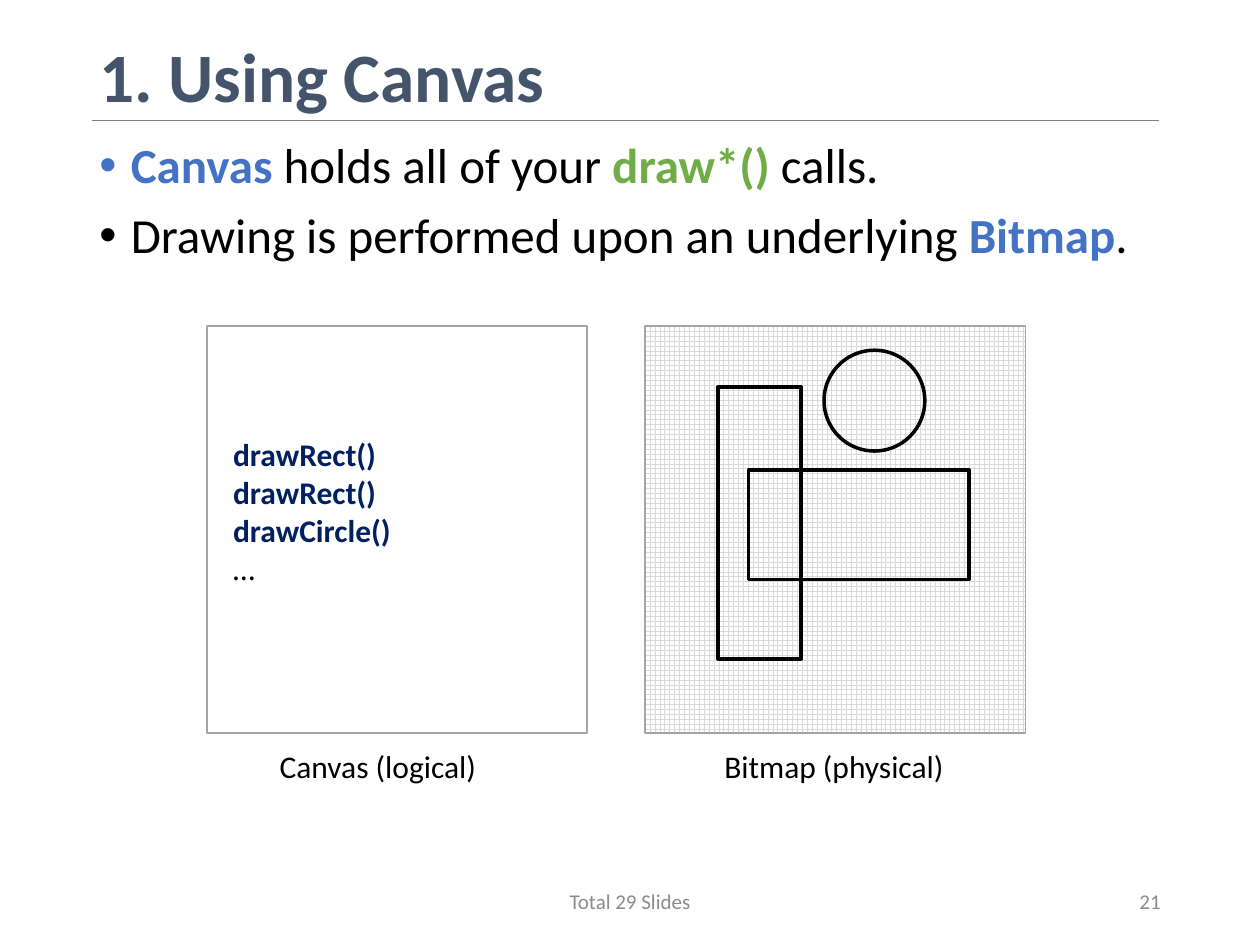
"""Build the slide on how a canvas draws onto a bitmap."""
from lxml import etree
from pptx import Presentation, util as u
from pptx.dml.color import RGBColor
from pptx.enum import dml, shapes, text
from pptx.oxml.ns import qn

HUES = {"head": "44546A", "rule": "808080", "blue": "4472C4", "green": "70AD47",
        "ink": "000000", "edge": "A5A5A5", "grid": "D9D9D9", "page": "FFFFFF",
        "code": "002060", "foot": "8C8C8C"}
FONT = "Calibri"
WIDE, HIGH = 10, 7.5
EDGE, SPAN = 0.69, 8.62
LEFT, TOP, PANE_W, PANE_H, STEP = 1.64, 2.59, 3.02, 3.23, 3.48

TITLE = [[("1. Using Canvas", "head", True)]]
POINTS = [
    [("Canvas", "blue", True), (" holds all of your ", "ink", False),
     ("draw*() ", "green", True), ("calls.", "ink", False)],
    [("Drawing is performed upon an underlying ", "ink", False),
     ("Bitmap", "blue", True), (".", "ink", False)],
]
CALLS = [[(call, "code", True)] for call in ("drawRect()", "drawRect()", "drawCircle()")]
CALLS.append([("…", "ink", False)])
LABELS = [("Canvas (logical)", 2.12, 1.78), ("Bitmap (physical)", 5.65, 1.96)]
FOOT = [("Total 29 Slides", 3.31, 3.38, "CENTER"), ("21", 7.06, 2.25, "RIGHT")]
DRAWN = [("RECTANGLE", (5.7, 3.07, 0.66, 2.16)),
         ("RECTANGLE", (5.94, 3.73, 1.75, 0.87)),
         ("OVAL", (6.54, 2.78, 0.8, 0.8))]


def hue(name):
    return RGBColor.from_string(HUES[name])


def place(box):
    return [u.Inches(side) for side in box]


def write(shape, paras, size, align="LEFT", anchor="TOP", wrap=True,
          lead=None, gap=0, bullet=False, pad=None):
    frame = shape.text_frame
    frame.word_wrap = wrap
    frame.vertical_anchor = text.MSO_ANCHOR[anchor]
    if pad:
        frame.margin_left, frame.margin_bottom = place(pad)
    for row, runs in enumerate(paras):
        para = frame.add_paragraph() if row else frame.paragraphs[0]
        para.alignment = text.PP_ALIGN[align]
        para.space_before = u.Pt(gap)
        if lead:
            para.line_spacing = lead
        if bullet:
            props = para._p.get_or_add_pPr()
            props.set("marL", str(u.Inches(0.25)))
            props.set("indent", str(u.Inches(-0.25)))
            etree.SubElement(props, qn("a:buFont"), typeface="Arial")
            etree.SubElement(props, qn("a:buChar"), char="•")
        for words, tint, bold in runs:
            run = para.add_run()
            run.text = words
            font = run.font
            font.name, font.size, font.bold = FONT, u.Pt(size), bold
            font.color.rgb = hue(tint)


def label(slide, box, paras, size, **style):
    write(slide.shapes.add_textbox(*place(box)), paras, size, **style)


def draw(slide, kind, box, tint, width):
    shape = slide.shapes.add_shape(shapes.MSO_SHAPE[kind], *place(box))
    shape.shadow.inherit = False
    shape.fill.background()
    shape.line.color.rgb = hue(tint)
    shape.line.width = u.Pt(width)
    return shape


def rule(slide, start, end):
    line = slide.shapes.add_connector(shapes.MSO_CONNECTOR.STRAIGHT,
                                      *place(start + end))
    line.line.color.rgb = hue("rule")
    line.line.width = u.Pt(0.5)
    etree.SubElement(line._element.spPr, qn("a:effectLst"))


def main():
    deck = Presentation()
    deck.slide_width, deck.slide_height = place((WIDE, HIGH))
    slide = deck.slides.add_slide(deck.slide_layouts[6])

    label(slide, (EDGE, 0.4, SPAN, 0.47), TITLE, 39.6, anchor="MIDDLE", lead=0.9)
    rule(slide, (0.73, 0.96), (9.2, 0.96))
    label(slide, (EDGE, 1.07, SPAN, 1.2), POINTS, 28, lead=0.9, gap=10, bullet=True)

    canvas, bitmap = [draw(slide, "RECTANGLE", (LEFT + col * STEP, TOP, PANE_W, PANE_H),
                           "edge", 1) for col in range(2)]
    canvas.fill.solid()
    canvas.fill.fore_color.rgb = hue("page")
    write(canvas, CALLS, 18, anchor="MIDDLE", pad=(0.21, 0.35))
    bitmap.fill.patterned()
    bitmap.fill.pattern = dml.MSO_PATTERN.LARGE_GRID
    bitmap.fill.fore_color.rgb = hue("grid")
    bitmap.fill.back_color.rgb = hue("page")

    for kind, box in DRAWN:
        draw(slide, kind, box, "ink", 2)
    for words, left, width in LABELS:
        label(slide, (left, 5.88, width, 0.4), [[(words, "ink", False)]], 18, wrap=False)
    for words, left, width, align in FOOT:
        label(slide, (left, 6.95, width, 0.4), [[(words, "foot", False)]], 12,
              align=align, anchor="MIDDLE")
    deck.save("out.pptx")


if __name__ == "__main__":
    main()
